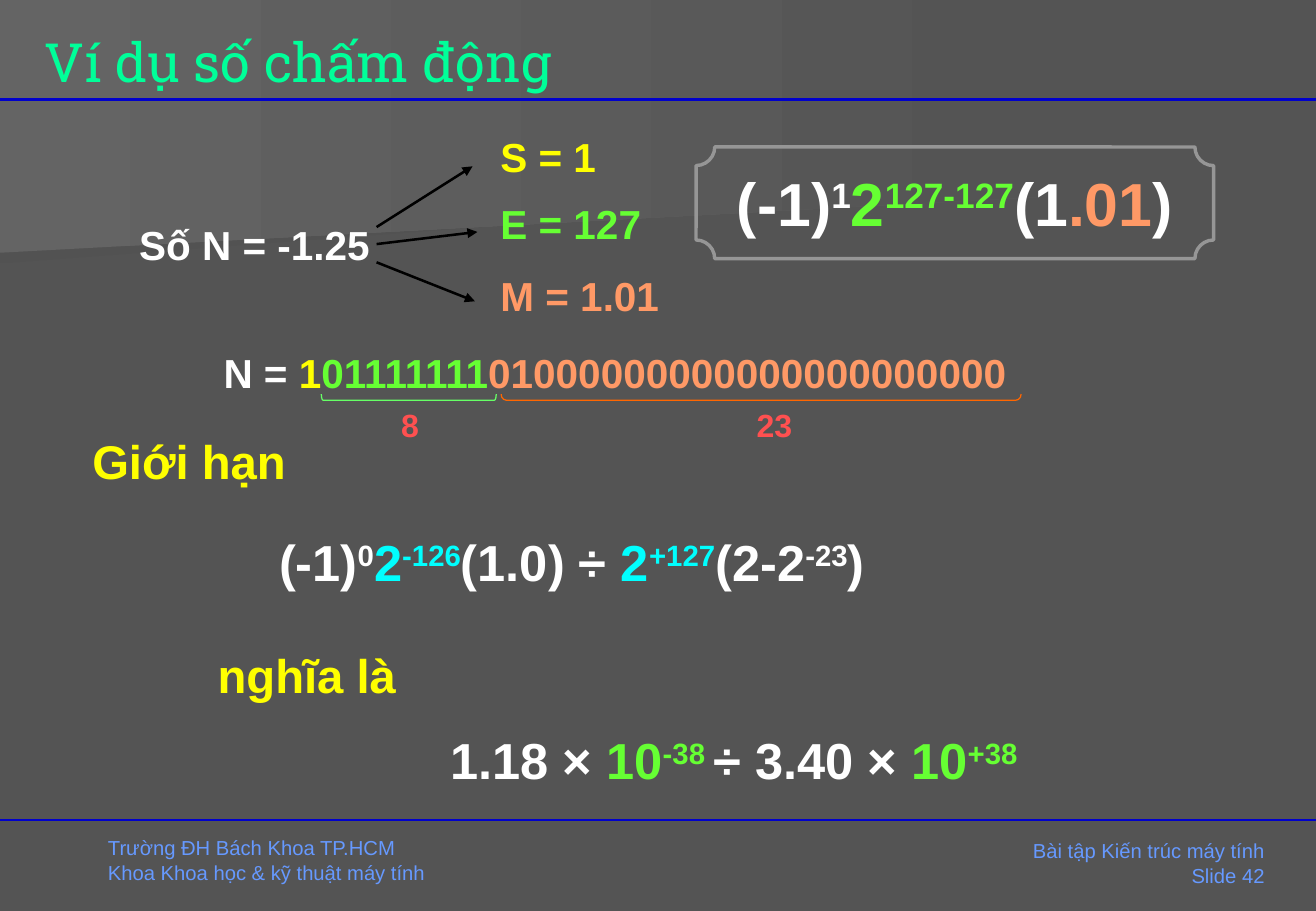
from lxml.etree import SubElement
from pptx import Presentation
from pptx.dml.color import RGBColor
from pptx.enum.shapes import MSO_CONNECTOR, MSO_SHAPE
from pptx.enum.text import MSO_ANCHOR, MSO_AUTO_SIZE, PP_ALIGN
from pptx.oxml.ns import qn
from pptx.util import Pt

WIDTH, HEIGHT = 780, 540
COLORS = {
    "background": "545454", "band_dark": "525252", "band_light": "646464",
    "rule": "0000CC", "arrow": "000000", "frame": "969696",
    "title": "00FF99", "footer": "6699FF", "white": "FFFFFF",
    "sign": "FFFF00", "exponent": "66FF33", "mantissa": "FF9966",
    "power": "00FFFF", "bits": "FF5050",
    "exponent_bracket": "66FF66", "mantissa_bracket": "FF6600",
}


def rgb(color):
    return RGBColor.from_string(COLORS[color])


def write(frame, lines, size, align=PP_ALIGN.LEFT, margin=3.6, indent=None,
          anchor=MSO_ANCHOR.TOP, bold=True, font="Arial"):
    """Fill a frame with lines of (text, color) or (text, color, "sup") parts."""
    frame_format = {
        "word_wrap": True, "auto_size": MSO_AUTO_SIZE.NONE,
        "vertical_anchor": anchor,
        "margin_left": Pt(margin if indent is None else indent),
        "margin_right": Pt(margin if indent is None else indent),
        "margin_top": Pt(min(margin, 3.6)),
        "margin_bottom": Pt(min(margin, 3.6)),
    }
    for key, value in frame_format.items():
        setattr(frame, key, value)
    for index, parts in enumerate(lines):
        paragraph = frame.add_paragraph() if index else frame.paragraphs[0]
        paragraph.alignment = align
        for text, color, *raised in parts:
            run = paragraph.add_run()
            run.text = text
            font_format = {"name": font, "size": Pt(size), "bold": bold}
            for key, value in font_format.items():
                setattr(run.font, key, value)
            run.font.color.rgb = rgb(color)
            if raised:
                run._r.get_or_add_rPr().set("baseline", "30000")


def add_text(slide, box, lines, size, **options):
    label = slide.shapes.add_textbox(*map(Pt, box))
    write(label.text_frame, lines, size, **options)


def add_line(slide, start, end, color, arrow=False):
    line = slide.shapes.add_connector(
        MSO_CONNECTOR.STRAIGHT, *map(Pt, (*start, *end)))
    line.line.color.rgb = rgb(color)
    line.line.width = Pt(1.5)
    if arrow:
        SubElement(line.line._get_or_add_ln(), qn("a:tailEnd"), type="triangle")
    SubElement(line._element.spPr, qn("a:effectLst"))


def add_outline(slide, kind, box, color, width, adjustment):
    outline = slide.shapes.add_shape(kind, *map(Pt, box))
    outline.shadow.inherit = False
    outline.fill.background()
    outline.line.color.rgb = rgb(color)
    outline.line.width = Pt(width)
    outline.adjustments[0] = adjustment
    return outline


def add_bracket(slide, center, length, color, adjustment):
    """A bracket under the digits, opening upwards."""
    thickness, middle = 3.6, 235.4
    box = (center - thickness / 2, middle - length / 2, thickness, length)
    bracket = add_outline(slide, MSO_SHAPE.LEFT_BRACKET, box, color, 0.75, adjustment)
    bracket.rotation = 270


def add_band(slide, points, color):
    (first, *others) = [(Pt(x), Pt(y)) for x, y in points]
    builder = slide.shapes.build_freeform(*first)
    builder.add_line_segments(others, close=True)
    band = builder.convert_to_shape()
    band.shadow.inherit = False
    band.line.fill.background()
    band.fill.gradient()
    band.fill.gradient_angle = 0
    for stop, shade, position in zip(
            band.fill.gradient_stops, (color, "background"), (0, 1)):
        stop.color.rgb = rgb(shade)
        stop.position = position


def add_backdrop(slide):
    slide.background.fill.solid()
    slide.background.fill.fore_color.rgb = rgb("background")
    add_band(slide, [(607, 110.2), (0, 156.2), (0, 72.7), (607.7, 72.7),
                     (607, 92.2)], "band_dark")
    add_band(slide, [(617.8, 116.6), (0, 149.8), (0, 0), (617.8, 0)], "band_light")
    for y in (59, 486):
        add_line(slide, (0, y), (WIDTH, y), "rule")


def add_title(slide):
    title = slide.shapes.title
    place = {"left": 19.4, "top": 13.7, "width": 738, "height": 45.4}
    for key, value in place.items():
        setattr(title, key, Pt(value))
    write(title.text_frame, [[("Ví dụ số chấm động", "title")]], 32, margin=7.2,
          anchor=MSO_ANCHOR.MIDDLE, bold=False, font="Roboto Slab")
    # Bring the title in front of the backdrop
    slide.shapes._spTree.append(title._element)


def main():
    prs = Presentation()
    prs.slide_width, prs.slide_height = Pt(WIDTH), Pt(HEIGHT)
    slide = prs.slides.add_slide(prs.slide_layouts[5])
    add_backdrop(slide)
    add_title(slide)

    # The number and its three fields
    add_text(slide, (74.9, 126.7, 151.9, 36), [[("Số N = -1.25", "white")]], 24,
             align=PP_ALIGN.CENTER)
    fields = [
        ("S = 1", "sign", 74.9, 134.6, (280.1, 98.6)),
        ("E = 127", "exponent", 114.5, 144.7, (283, 137.5)),
        ("M = 1.01", "mantissa", 157, 155.5, (281.5, 178.6)),
    ]
    for text, color, top, arrow_start, arrow_end in fields:
        add_text(slide, (293, top, 110, 36), [[(text, color)]], 24)
        add_line(slide, (223.2, arrow_start), arrow_end, "arrow", arrow=True)

    # Framed value
    plaque = add_outline(slide, MSO_SHAPE.PLAQUE, (412.6, 87.1, 306.7, 66.2),
                         "frame", 2, 0.167)
    value = [("(-1)", "white"), ("1", "white", "sup"), ("2", "exponent"),
             ("127-127", "exponent", "sup"), ("(1", "white"),
             (".01", "mantissa"), (")", "white")]
    write(plaque.text_frame, [value], 36, align=PP_ALIGN.CENTER)

    # Bit pattern with field lengths
    bits = [("N = ", "white"), ("1", "sign"), ("01111111", "exponent"),
            ("01000000000000000000000", "mantissa")]
    add_text(slide, (128.9, 203, 495.4, 36), [bits], 24)
    add_bracket(slide, 242.3, 103.7, "exponent_bracket", 0.285)
    add_bracket(slide, 451.1, 308.2, "mantissa_bracket", 0.845)
    for count, left in (("8", 226.8), ("23", 442.8)):
        add_text(slide, (left, 240.5, 32.4, 23.8), [[(count, "bits")]], 19,
                 align=PP_ALIGN.CENTER, margin=0)

    # Limits, in binary and in decimal
    add_text(slide, (51.1, 252.7, 209.5, 41), [[("Giới hạn", "sign")]], 28)
    binary_range = [
        ("(-1)", "white"), ("0", "white", "sup"), ("2", "power"),
        ("-126", "power", "sup"), ("(1.0) ÷ ", "white"), ("2", "power"),
        ("+127", "power", "sup"), ("(2-2", "white"), ("-23", "white", "sup"),
        (")", "white")]
    add_text(slide, (153.4, 311, 412, 43), [binary_range], 30, indent=12)
    add_text(slide, (115.9, 379.4, 122.4, 41), [[("nghĩa là", "sign")]], 28,
             align=PP_ALIGN.RIGHT)
    decimal_range = [
        ("1.18 × ", "white"), ("10", "exponent"), ("-38 ", "exponent", "sup"),
        ("÷ 3.40 × ", "white"), ("10", "exponent"), ("+38", "exponent", "sup")]
    add_text(slide, (254.9, 428.4, 379.4, 43), [decimal_range], 30, indent=12)

    # Footer
    add_text(slide, (56.9, 491.8, 231.8, 36),
             [[("Trường ĐH Bách Khoa TP.HCM", "footer")],
              [("Khoa Khoa học & kỹ thuật máy tính", "footer")]],
             12, margin=7.2, bold=False)
    add_text(slide, (550.8, 493.9, 205.9, 35.3),
             [[("Bài tập Kiến trúc máy tính", "footer")], [("Slide 42", "footer")]],
             12, margin=7.2, bold=False, align=PP_ALIGN.RIGHT,
             anchor=MSO_ANCHOR.MIDDLE)

    prs.save("out.pptx")


if __name__ == "__main__":
    main()
